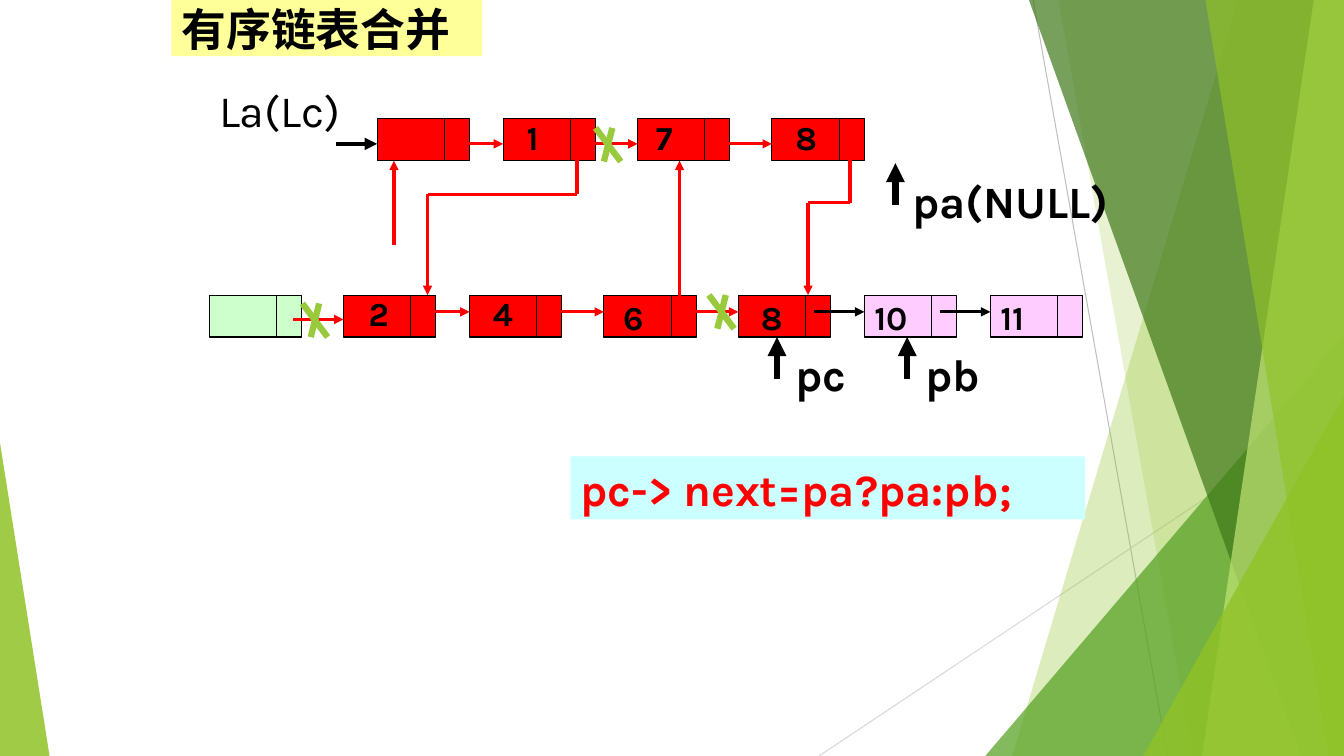
from lxml import etree
from pptx import Presentation
from pptx import util as u
from pptx.dml.color import RGBColor
from pptx.enum import shapes, text
from pptx.oxml import ns

UNIT = u.Inches(1) / 12
LEFT, RIGHT, TOP, FOOT = 0.1, 160.1, -0.13, 89.87
UPPER, LOWER = 14, 35
CELL, LINK, TALL = 8, 3, 5

BLACK = RGBColor(0x00, 0x00, 0x00)
RED = RGBColor(0xFF, 0x00, 0x00)
PINK = RGBColor(0xFF, 0xCC, 0xFF)
MINT = RGBColor(0xCC, 0xFF, 0xCC)
CREAM = RGBColor(0xFF, 0xFF, 0x99)
AQUA = RGBColor(0xCC, 0xFF, 0xFF)
LIME = RGBColor(0x99, 0xCA, 0x3C)
LEAF = RGBColor(0x90, 0xC2, 0x26)
GRASS = RGBColor(0x54, 0xA0, 0x21)
MOSS = RGBColor(0x3F, 0x78, 0x19)
PALE = RGBColor(0xC0, 0xE4, 0x74)
GREY = RGBColor(0xBF, 0xBF, 0xBF)
SILVER = RGBColor(0xD9, 0xD9, 0xD9)


def across(col):
    return round((col - 0.1) * UNIT)


def down(row):
    return round((row + 0.13) * UNIT)


def size(count):
    return round(count * UNIT)


def area(col, row, wide, high):
    return across(col), down(row), size(wide), size(high)


def add(parent, tag, **attrs):
    return etree.SubElement(parent, ns.qn(tag), **attrs)


def paint(shape, color, alpha=100, edge=None):
    shape.shadow.inherit = False
    shape.fill.solid()
    shape.fill.fore_color.rgb = color
    if alpha < 100:
        tint = shape.fill._xPr.find(ns.qn("a:solidFill"))[0]
        add(tint, "a:alpha", val=str(alpha * 1000))
    if edge is None:
        shape.line.fill.background()
    else:
        shape.line.color.rgb = edge
        shape.line.width = u.Pt(0.75)


def write(frame, words, points=32, color=BLACK, bold=True, font="Karla",
          wrap=True, grow=True, anchor=text.MSO_ANCHOR.TOP):
    frame.word_wrap = wrap
    fit = text.MSO_AUTO_SIZE
    frame.auto_size = fit.SHAPE_TO_FIT_TEXT if grow else fit.NONE
    frame.vertical_anchor = anchor
    para = frame.paragraphs[0]
    para.alignment = text.PP_ALIGN.LEFT
    run = para.add_run()
    run.text = words
    run.font.size = u.Pt(points)
    run.font.bold = bold
    run.font.color.rgb = color
    run.font.name = font
    add(run.font._element, "a:ea", typeface=font)


def note(slide, words, col, row, wide, high=7.5, **style):
    box = slide.shapes.add_textbox(*area(col, row, wide, high))
    write(box.text_frame, words, **style)


def wire(slide, start, end, color=RED, width=2.25, arrow=True):
    line = slide.shapes.add_connector(
        shapes.MSO_CONNECTOR.STRAIGHT,
        across(start[0]), down(start[1]), across(end[0]), down(end[1]))
    line.line.color.rgb = color
    line.line.width = u.Pt(width)
    if arrow:
        add(line.line._get_or_add_ln(), "a:tailEnd", type="triangle")
    add(line._element.spPr, "a:effectLst")


def node(slide, col, row, color):
    for start, wide in ((col, CELL), (col + CELL, LINK)):
        box = slide.shapes.add_shape(shapes.MSO_SHAPE.RECTANGLE,
                                     *area(start, row, wide, TALL))
        paint(box, color, edge=BLACK)


def cross(slide, col, row):
    wire(slide, (col + 2, row), (col + 1, row + 4), LIME, 4.5, False)
    wire(slide, (col, row), (col + 3, row + 4), LIME, 4.5, False)


def band(slide, top, foot, color, alpha):
    corners = [(RIGHT, TOP), (RIGHT, FOOT), (foot, FOOT)]
    form = slide.shapes.build_freeform(across(top), down(TOP))
    form.add_line_segments([(across(c), down(r)) for c, r in corners])
    paint(form.convert_to_shape(), color, alpha)


def wedge(slide, left, right, top, apex, color, alpha):
    shape = slide.shapes.add_shape(
        shapes.MSO_SHAPE.ISOSCELES_TRIANGLE,
        *area(left, top, right - left, FOOT - top))
    shape.adjustments[0] = apex
    paint(shape, color, alpha)


def decor(slide):
    wire(slide, (123.1, TOP), (139.1, FOOT), GREY, 0.75, False)
    wire(slide, (RIGHT, 48.2), (97.6, FOOT), SILVER, 0.75, False)
    band(slide, 147.5, 120.6, LEAF, 30)
    band(slide, 126.1, 142.1, LEAF, 20)
    wedge(slide, 117.4, RIGHT, 39.8, 1, GRASS, 72)
    band(slide, 122.6, 155, MOSS, 70)
    band(slide, 156.5, 143.2, PALE, 70)
    band(slide, 143.6, 158.3, LEAF, 65)
    wedge(slide, 136.2, RIGHT, 47, 1, LEAF, 80)
    wedge(slide, LEFT, 6, 52.6, 0, LEAF, 85)


def lists(slide):
    for col in (45, 60, 76, 92):
        node(slide, col, UPPER, RED)
    for col in (41, 56, 72, 88):
        node(slide, col, LOWER, RED)
    for col in (103, 118):
        node(slide, col, LOWER, PINK)
    node(slide, 25, LOWER, MINT)


def wires(slide):
    for col in (60, 76, 92):
        wire(slide, (col - 6, 17), (col, 17))
    for col, color in ((56, RED), (72, RED), (88, RED),
                       (103, BLACK), (118, BLACK)):
        wire(slide, (col - 6, 37), (col, 37), color)
    wire(slide, (35, 37.9), (41, 37.9))
    wire(slide, (47, 29), (47, 19))
    wire(slide, (81, 37), (81, 19))
    for start, end, bend in ((68.8, 51, 23), (101.3, 96.3, 24)):
        wire(slide, (start, 17), (start, bend), arrow=False)
        wire(slide, (start, bend), (end, bend), arrow=False)
        wire(slide, (end, bend), (end, LOWER))
    wire(slide, (40.1, 17), (45, 17), BLACK, 3)
    for col, row in ((106.7, 19.3), (108.1, 40), (92.6, 40)):
        wire(slide, (col, row + 5), (col, row), BLACK, 4.5)


def notes(slide):
    for value, col, row in (
            ("1", 61.6, 13.2), ("7", 77, 13.2), ("8", 93.6, 13.2),
            ("2", 42.8, 34.1), ("4", 57.6, 34.1), ("6", 73.1, 34.6),
            ("8", 89.5, 34.6), ("10", 103, 34.6), ("11", 118, 34.6)):
        wide = 2.4 + 2.5 * len(value)
        note(slide, value, col, row, wide, 6, points=24, wrap=False)
    note(slide, "La(Lc)", 25, 9.1, 17.8, bold=False)
    note(slide, "pa(NULL)", 107.5, 20, 30.2)
    note(slide, "pb", 109.1, 40.6, 9.1, wrap=False)
    note(slide, "pc", 93.6, 40.6, 8.6, wrap=False)


def title(slide):
    head = slide.shapes.title
    head.left, head.top, head.width, head.height = area(20.5, TOP, 37, 6.7)
    head.fill.solid()
    head.fill.fore_color.rgb = CREAM
    write(head.text_frame, "有序链表合并", font="Noto Sans CJK SC", grow=False,
          anchor=text.MSO_ANCHOR.MIDDLE)


def code(slide):
    box = slide.shapes.add_shape(shapes.MSO_SHAPE.RECTANGLE,
                                 *area(68, 54.2, 61.3, 7.5))
    paint(box, AQUA)
    write(box.text_frame, "pc-> next=pa?pa:pb;", color=RED)


def main():
    deck = Presentation()
    deck.slide_width, deck.slide_height = size(160), size(90)
    slide = deck.slides.add_slide(deck.slide_layouts[5])
    decor(slide)
    title(slide)
    lists(slide)
    wires(slide)
    notes(slide)
    for col, row in ((71, 15.1), (84.5, 35), (36.1, 36)):
        cross(slide, col, row)
    code(slide)
    deck.save("out.pptx")


if __name__ == "__main__":
    main()
